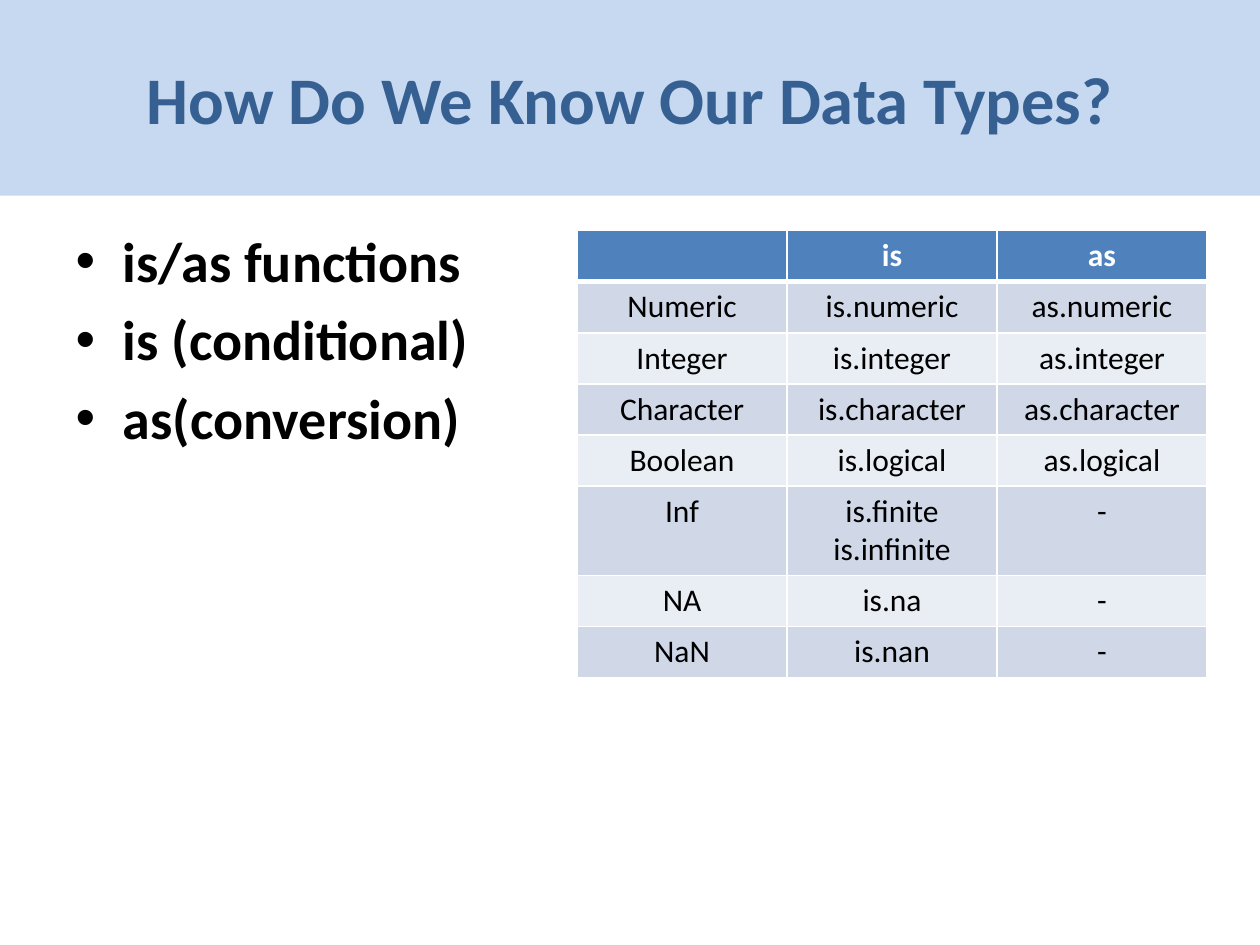
from lxml.etree import SubElement
from pptx import Presentation
from pptx.dml.color import RGBColor
from pptx.enum.text import MSO_ANCHOR as Anchor, PP_ALIGN as Align
from pptx.oxml.ns import qn
from pptx.util import Inches, Pt

WIDTH, HEIGHT = Inches(10), Inches(7.5)
ROW_HEIGHT = Inches(0.36)
HEADING = "How Do We Know Our Data Types?"
POINTS = ["is/as functions", "is (conditional)", "as(conversion)"]
TYPE_ROWS = [
    ("", "is", "as"),
    ("Numeric", "is.numeric", "as.numeric"),
    ("Integer", "is.integer", "as.integer"),
    ("Character", "is.character", "as.character"),
    ("Boolean", "is.logical", "as.logical"),
    ("Inf", "is.finite\nis.infinite", "-"),
    ("NA", "is.na", "-"),
    ("NaN", "is.nan", "-"),
]
HEADING_FONT = {"name": "Calibri", "size": Pt(38), "bold": True}
POINT_FONT = {"name": "Calibri", "size": Pt(32), "bold": True}
HEADER_FONT = {"name": "Calibri", "size": Pt(18), "bold": True}
CELL_FONT = {**HEADER_FONT, "bold": False}


def paint(color_format, hex_color):
    color_format.rgb = RGBColor.from_string(hex_color)


def fill_with(item, hex_color):
    item.fill.solid()
    paint(item.fill.fore_color, hex_color)


def apply(target, values):
    for key, value in values.items():
        setattr(target, key, value)


def share_box(left, top, width, height):
    return {
        "left": int(WIDTH * left),
        "top": int(HEIGHT * top),
        "width": int(WIDTH * width),
        "height": int(HEIGHT * height),
    }


def write(frame, text, font, hex_color, align):
    frame.text = text
    for paragraph in frame.paragraphs:
        paragraph.alignment = align
        for run in paragraph.runs:
            apply(run.font, font)
            paint(run.font.color, hex_color)


def add_heading(slide):
    heading = slide.shapes.title
    apply(heading, share_box(0, 0, 1, 0.207))
    fill_with(heading, "C6D9F1")
    heading.text_frame.vertical_anchor = Anchor.MIDDLE
    write(heading.text_frame, HEADING, HEADING_FONT, "376092", Align.CENTER)


def add_points(slide):
    points = slide.placeholders[1]
    apply(points, share_box(0.05, 0.233, 0.35, 0.544))
    write(points.text_frame, "\n".join(POINTS), POINT_FONT, "000000", Align.LEFT)


def add_borders(cell, is_header):
    properties = cell._tc.get_or_add_tcPr()
    for side in "LRTB":
        points = 3 if is_header and side == "B" else 1
        border = SubElement(properties, qn(f"a:ln{side}"), w=str(Pt(points)))
        solid = SubElement(border, qn("a:solidFill"))
        SubElement(solid, qn("a:srgbClr"), val="FFFFFF")


def add_type_table(slide):
    box = share_box(0.458, 0.244, 0.5, 0)
    box["height"] = ROW_HEIGHT * len(TYPE_ROWS)
    table = slide.shapes.add_table(len(TYPE_ROWS), len(TYPE_ROWS[0]), **box).table
    for row, labels in enumerate(TYPE_ROWS):
        is_header = row == 0
        band = "4F81BD" if is_header else ("E9EDF4", "D0D8E8")[row % 2]
        font = HEADER_FONT if is_header else CELL_FONT
        ink = "FFFFFF" if is_header else "000000"
        for column, label in enumerate(labels):
            cell = table.cell(row, column)
            add_borders(cell, is_header)
            fill_with(cell, band)
            write(cell.text_frame, label, font, ink, Align.CENTER)


def main():
    deck = Presentation()
    apply(deck, {"slide_width": WIDTH, "slide_height": HEIGHT})
    slide = deck.slides.add_slide(deck.slide_layouts[1])
    add_heading(slide)
    add_points(slide)
    add_type_table(slide)
    deck.save("out.pptx")


if __name__ == "__main__":
    main()
